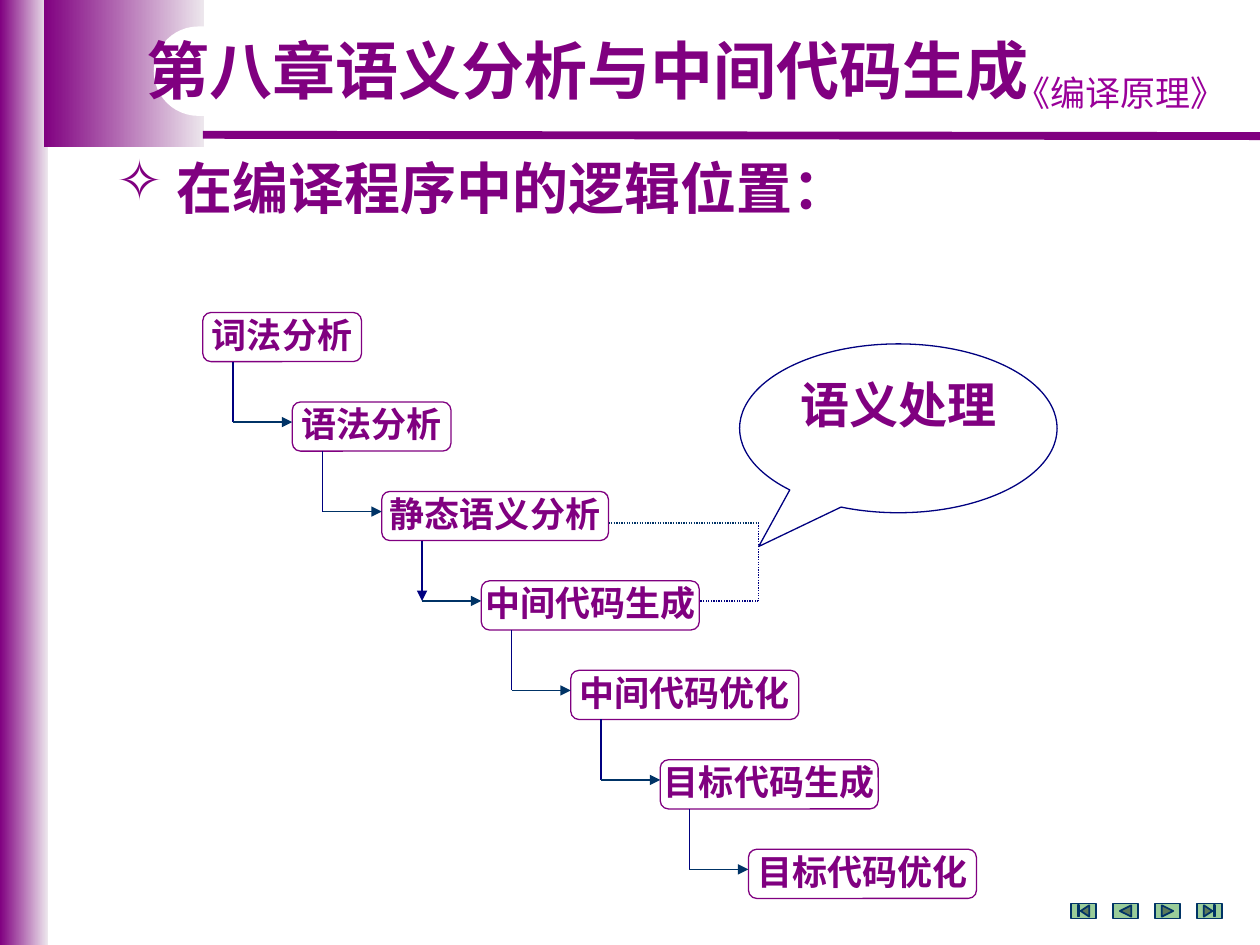
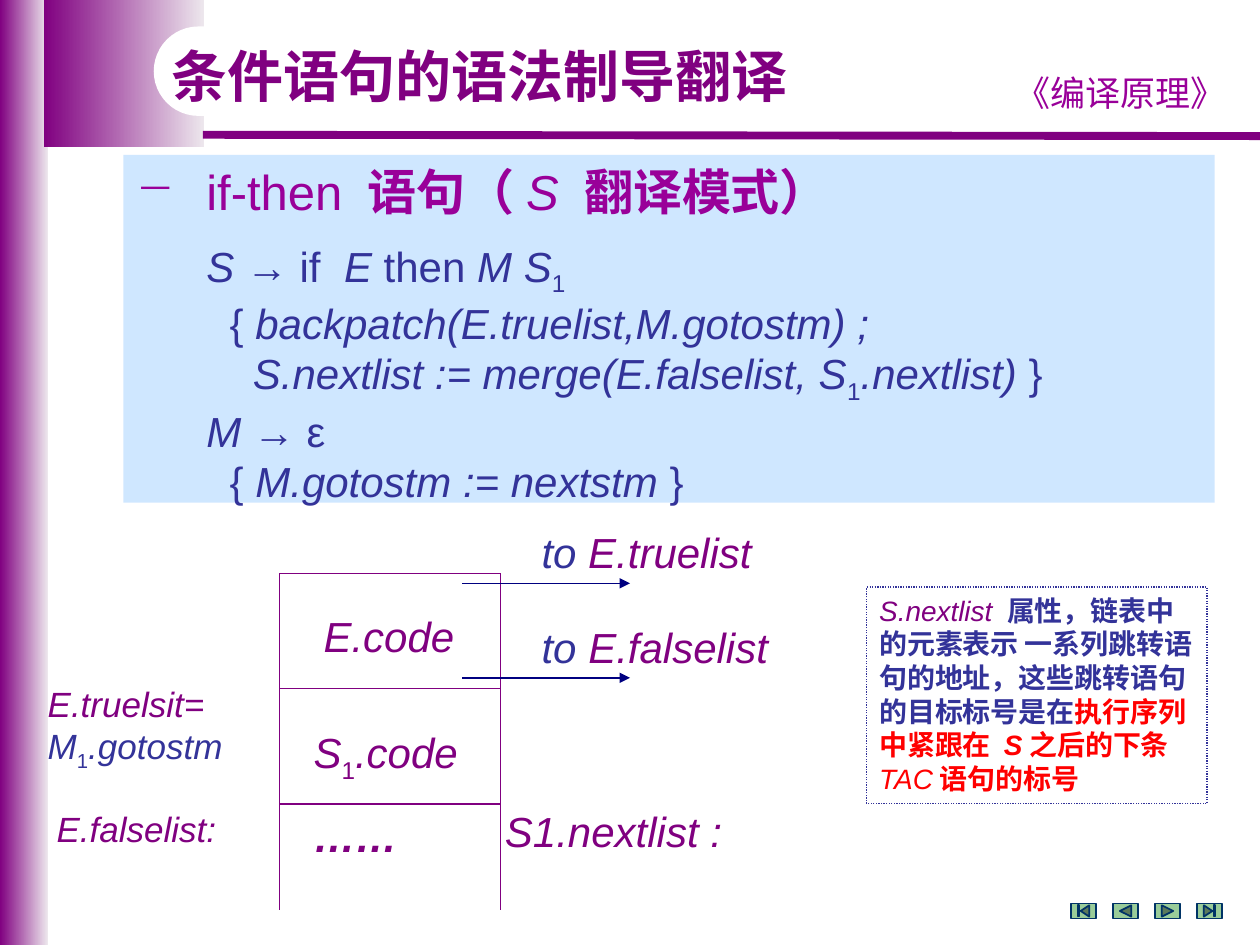
from dataclasses import dataclass
from typing import NamedTuple, Optional

import pptx
import pptx.dml.color
import pptx.enum.dml
import pptx.enum.shapes
import pptx.enum.text
import pptx.oxml
import pptx.oxml.ns
import pptx.util
from lxml import etree

RGB = pptx.dml.color.RGBColor
SHAPE = pptx.enum.shapes.MSO_SHAPE
ALIGN = pptx.enum.text.PP_ALIGN
ANCHOR = pptx.enum.text.MSO_ANCHOR
qn = pptx.oxml.ns.qn

# Shared look
PURPLE = RGB(0x80, 0x00, 0x80)
PALE_PURPLE = RGB(0xED, 0xE7, 0xED)
MAGENTA = RGB(0x99, 0x00, 0x99)
INDIGO = RGB(0x33, 0x33, 0x99)
NAVY = RGB(0x00, 0x00, 0x80)
TEAL = RGB(0x00, 0x33, 0x66)
GREEN = RGB(0x99, 0xCC, 0x99)
SKY = RGB(0xAD, 0xD6, 0xFF)
RED = RGB(0xFF, 0x00, 0x00)
WHITE = RGB(0xFF, 0xFF, 0xFF)
LATIN, CHINESE, COMIC = "Arial", "Noto Sans CJK SC", "Comic Neue"

# The slide is a grid of 100 columns by 75 rows of square cells
SLIDE_WIDTH, SLIDE_HEIGHT = pptx.util.Inches(10), pptx.util.Inches(7.5)
COLUMNS, ROWS = 100, 75
CELL = SLIDE_WIDTH // COLUMNS


class Box(NamedTuple):
    left: float
    top: float
    width: float
    height: float

    def emu(self) -> list[int]:
        return [round(cells * CELL) for cells in self]


class Run(NamedTuple):
    """Text with style letters: b bold, i italic, s subscript."""
    text: str
    style: str = ""
    color: RGB = PURPLE


class Line(NamedTuple):
    start: tuple[float, float]
    end: tuple[float, float]
    color: RGB = PURPLE
    arrow: bool = False
    dotted: bool = False
    width: float = 0.75


@dataclass
class Label:
    box: Box
    lines: list[list[Run]]
    size: float
    font: str = LATIN
    align: ALIGN = ALIGN.LEFT
    anchor: ANCHOR = ANCHOR.TOP
    wrap: bool = True
    spacing: Optional[float] = None
    bullet: str = ""
    indent: float = 0


class Stage(NamedTuple):
    name: str
    left: float
    width: float


def write(shape, label: Label) -> None:
    frame = shape.text_frame
    frame.word_wrap = label.wrap
    frame.vertical_anchor = label.anchor
    frame.auto_size = pptx.enum.text.MSO_AUTO_SIZE.NONE
    for index, pieces in enumerate(label.lines):
        paragraph = frame.paragraphs[0] if index == 0 else frame.add_paragraph()
        paragraph.alignment = label.align
        if label.spacing:
            paragraph.line_spacing = label.spacing
        if label.indent:
            set_indent(paragraph, label.indent, label.bullet if index == 0 else "")
        for piece in pieces:
            run = paragraph.add_run()
            run.text = piece.text
            style_run(run, piece, label)


def set_indent(paragraph, cells: float, bullet: str) -> None:
    properties = paragraph._p.get_or_add_pPr()
    properties.set("marL", str(round(cells * CELL)))
    properties.set("indent", str(-round(cells * CELL) if bullet else 0))
    if bullet:
        etree.SubElement(properties, qn("a:buChar")).set("char", bullet)


def style_run(run, piece: Run, label: Label) -> None:
    font = run.font
    font.size = pptx.util.Pt(label.size)
    font.bold = "b" in piece.style
    font.italic = "i" in piece.style
    font.color.rgb = piece.color
    font.name = label.font
    properties = run._r.get_or_add_rPr()
    etree.SubElement(properties, qn("a:ea")).set("typeface", CHINESE)
    if "s" in piece.style:
        properties.set("baseline", "-25000")


def add_label(slide, label: Label):
    text_box = slide.shapes.add_textbox(*label.box.emu())
    write(text_box, label)
    return text_box


def add_block(slide, kind: SHAPE, box: Box, fill: Optional[RGB] = None,
              outline: Optional[RGB] = None, width: float = 0.75):
    block = slide.shapes.add_shape(kind, *box.emu())
    block.shadow.inherit = False
    if fill is None:
        block.fill.background()
    else:
        block.fill.solid()
        block.fill.fore_color.rgb = fill
    if outline is None:
        block.line.fill.background()
    else:
        block.line.color.rgb = outline
        block.line.width = pptx.util.Pt(width)
    return block


def add_line(slide, line: Line) -> None:
    ends = [round(cells * CELL) for cells in (*line.start, *line.end)]
    connector = slide.shapes.add_connector(
        pptx.enum.shapes.MSO_CONNECTOR.STRAIGHT, *ends)
    connector.line.color.rgb = line.color
    connector.line.width = pptx.util.Pt(line.width)
    if line.dotted:
        connector.line.dash_style = pptx.enum.dml.MSO_LINE.ROUND_DOT
    if line.arrow:
        tail = etree.SubElement(connector.line._get_or_add_ln(), qn("a:tailEnd"))
        tail.set("type", "triangle")
    etree.SubElement(connector._element.spPr, qn("a:effectLst"))


def add_frame(deck, title: Label):
    """A title-only slide with bands, course name, title and buttons."""
    slide = deck.slides.add_slide(deck.slide_layouts[5])
    for band_box in (Box(0, 0, 3.8, ROWS), Box(3.5, 0, 12.7, 11.7)):
        band = add_block(slide, SHAPE.RECTANGLE, band_box)
        band.fill.gradient()
        band.fill.gradient_angle = 0
        for stop, color in zip(band.fill.gradient_stops, (PURPLE, PALE_PURPLE)):
            stop.color.rgb = color
    add_line(slide, Line((16.1, 10.7), (COLUMNS, 10.8), width=4.5))
    add_label(slide, Label(Box(79.1, 5.2, 19.7, 4.3), [[Run("《编译原理》", "", MAGENTA)]],
                           20, COMIC, ALIGN.CENTER))
    notch = add_block(slide, SHAPE.ROUNDED_RECTANGLE, Box(12.2, 2.1, 36.2, 7.1), WHITE)
    notch.adjustments[0] = 0.5

    # The title stands in front of the bands
    heading = slide.shapes.title
    heading.left, heading.top, heading.width, heading.height = title.box.emu()
    write(heading, title)
    heading.element.getparent().append(heading.element)

    buttons = (SHAPE.ACTION_BUTTON_BEGINNING, SHAPE.ACTION_BUTTON_BACK_OR_PREVIOUS,
               SHAPE.ACTION_BUTTON_FORWARD_OR_NEXT, SHAPE.ACTION_BUTTON_END)
    for index, button in enumerate(buttons):
        add_block(slide, button, Box(85 + index * 10 / 3, 71.7, 2, 1.2), GREEN, TEAL, 1)
    return slide


def build_stages_slide(deck) -> None:
    slide = add_frame(deck, Label(Box(10.6, 2.7, 72.5, 6.6),
                                  [[Run("第八章语义分析与中间代码生成", "b")]],
                                  36, CHINESE, spacing=0.9))
    add_label(slide, Label(Box(8.3, 11.7, 91.7, 6.4), [[Run("在编译程序中的逻辑位置：", "b")]],
                           32, CHINESE, bullet="✧", indent=4.7))

    # Staircase of compiler stages
    first_top, step, stage_height = 24.8, 7.1, 3.9
    elbow_reach, entry_drop = 4.7, 1.6
    stages = [
        Stage("词法分析", 16.1, 12.6), Stage("语法分析", 23.2, 12.6),
        Stage("静态语义分析", 30.3, 18), Stage("中间代码生成", 38.2, 17.3),
        Stage("中间代码优化", 45.3, 18.1), Stage("目标代码生成", 52.4, 17.3),
        Stage("目标代码优化", 59.4, 18.1)]
    for index, stage in enumerate(stages):
        top = first_top + index * step
        box = Box(stage.left, top, stage.width, stage_height)
        block = add_block(slide, SHAPE.ROUNDED_RECTANGLE, box, WHITE, PURPLE)
        write(block, Label(box, [[Run(stage.name, "b")]], 20, align=ALIGN.CENTER,
                           anchor=ANCHOR.MIDDLE, wrap=False, spacing=0.9))
        if index:
            corner = (stage.left - elbow_reach, top + entry_drop)
            above = top - step + stage_height
            add_line(slide, Line((corner[0], above), corner, NAVY,
                                 arrow=stage.name == "中间代码生成"))
            add_line(slide, Line(corner, (stage.left, corner[1]), TEAL, arrow=True))

    # Callout that groups the two semantic stages
    callout_box = Box(58.7, 27.3, 25.2, 13.4)
    callout = add_block(slide, SHAPE.OVAL_CALLOUT, callout_box, outline=NAVY)
    callout.adjustments[0], callout.adjustments[1] = -0.44, 0.7
    write(callout, Label(callout_box, [[Run("语义处理", "b")]], 28, align=ALIGN.CENTER))
    for line in (Line((48.3, 41.5), (60.2, 41.5), TEAL, dotted=True),
                 Line((60.2, 41.5), (60.2, 47.7), NAVY, dotted=True),
                 Line((60.2, 47.7), (55.5, 47.7), NAVY, dotted=True)):
        add_line(slide, line)


def build_translation_slide(deck) -> None:
    slide = add_frame(deck, Label(Box(12.6, 2.8, 68, 6.3),
                                  [[Run("条件语句的语法制导翻译", "b")]], 32, CHINESE))

    # Translation scheme
    scheme_box = Box(9.8, 12.3, 86.6, 27.6)
    scheme = add_block(slide, SHAPE.RECTANGLE, scheme_box, SKY)
    color = scheme.fill._xPr.find(".//" + qn("a:srgbClr"))
    etree.SubElement(color, qn("a:alpha")).set("val", "58000")
    heading = [Run("if-then ", "", MAGENTA), Run("语句（", "b", MAGENTA),
               Run("S ", "i", MAGENTA), Run("翻译模式）", "b", MAGENTA)]
    rules = [
        [("S ", "i"), ("→ if ", ""), (" E", "i"), (" then ", ""), ("M S", "i"), ("1", "s")],
        [("  { ", ""), ("backpatch(E.truelist,M.gotostm) ;", "i")],
        [("    S.nextlist := merge(E.falselist, S", "i"), ("1", "s"),
         (".nextlist) ", "i"), ("}", "")],
        [("M ", "i"), ("→ ε", "")],
        [("  { ", ""), ("M.gotostm := nextstm ", "i"), ("}", "")]]
    code = [[Run(text, style, INDIGO) for text, style in rule] for rule in rules]
    write(scheme, Label(scheme_box, [heading, *code], 24, bullet="−", indent=5.6))
    heading_line, first_rule = scheme.text_frame.paragraphs[:2]
    for run in heading_line.runs:
        run.font.size = pptx.util.Pt(28)
    first_rule.space_before = pptx.util.Pt(11.5)

    # Code layout: a column of cells, open at the bottom
    left, right, top, bottom, cell_height = 22.2, 39.7, 45.5, 72.2, 9.15
    for x in (left, right):
        add_line(slide, Line((x, top), (x, bottom)))
    for index in range(3):
        y = top + index * cell_height
        add_line(slide, Line((left, y), (right, y)))

    # Jumps out of E.code
    for y, target, width in ((46.3, "E.truelist", 21.4), (53.8, "E.falselist", 20.2)):
        add_line(slide, Line((36.7, y), (50, y), NAVY, arrow=True))
        add_label(slide, Label(Box(42, y - 5, width, 5),
                               [[Run("to ", "i", INDIGO), Run(target, "i")]], 24, wrap=False))

    # Names of cells and lists
    for label in (
            Label(Box(24.7, 48, 12.4, 5), [[Run("E.code", "i")]], 24, wrap=False),
            Label(Box(23.9, 57.2, 13.6, 5),
                  [[Run("S", "i"), Run("1", "s"), Run(".code", "i")]], 24, wrap=False),
            Label(Box(23.9, 63.8, 8.7, 5), [[Run("……", "bi")]], 24, wrap=False),
            Label(Box(39.1, 63.4, 19.4, 5), [[Run("S1.nextlist :", "i")]], 24, wrap=False),
            Label(Box(2.8, 53.7, 17.5, 7.7),
                  [[Run("E.truelsit=", "i")],
                   [Run("M", "i", INDIGO), Run("1", "s", INDIGO),
                    Run(".gotostm", "i", INDIGO)]], 20),
            Label(Box(3.5, 63.6, 14.8, 4.4), [[Run("E.falselist:", "i")]], 20, wrap=False)):
        add_label(slide, label)

    # Note on the nextlist attribute
    note_box = Box(68.8, 46.6, 27, 17.2)
    note = add_block(slide, SHAPE.RECTANGLE, note_box, outline=INDIGO)
    note.line.dash_style = pptx.enum.dml.MSO_LINE.ROUND_DOT
    write(note, Label(note_box, [[
        Run("S.nextlist ", "i"),
        Run("属性，链表中的元素表示 一系列跳转语句的地址，这些跳转语句的目标标号是在", "b", INDIGO),
        Run("执行序列中紧跟在 ", "b", RED), Run("S", "bi", RED), Run("之后的下条", "b", RED),
        Run("TAC", "i", RED), Run("语句的标号", "b", RED)]], 16))


def main() -> None:
    deck = pptx.Presentation()
    deck.slide_width, deck.slide_height = SLIDE_WIDTH, SLIDE_HEIGHT
    build_stages_slide(deck)
    build_translation_slide(deck)
    deck.save("out.pptx")


if __name__ == "__main__":
    main()
